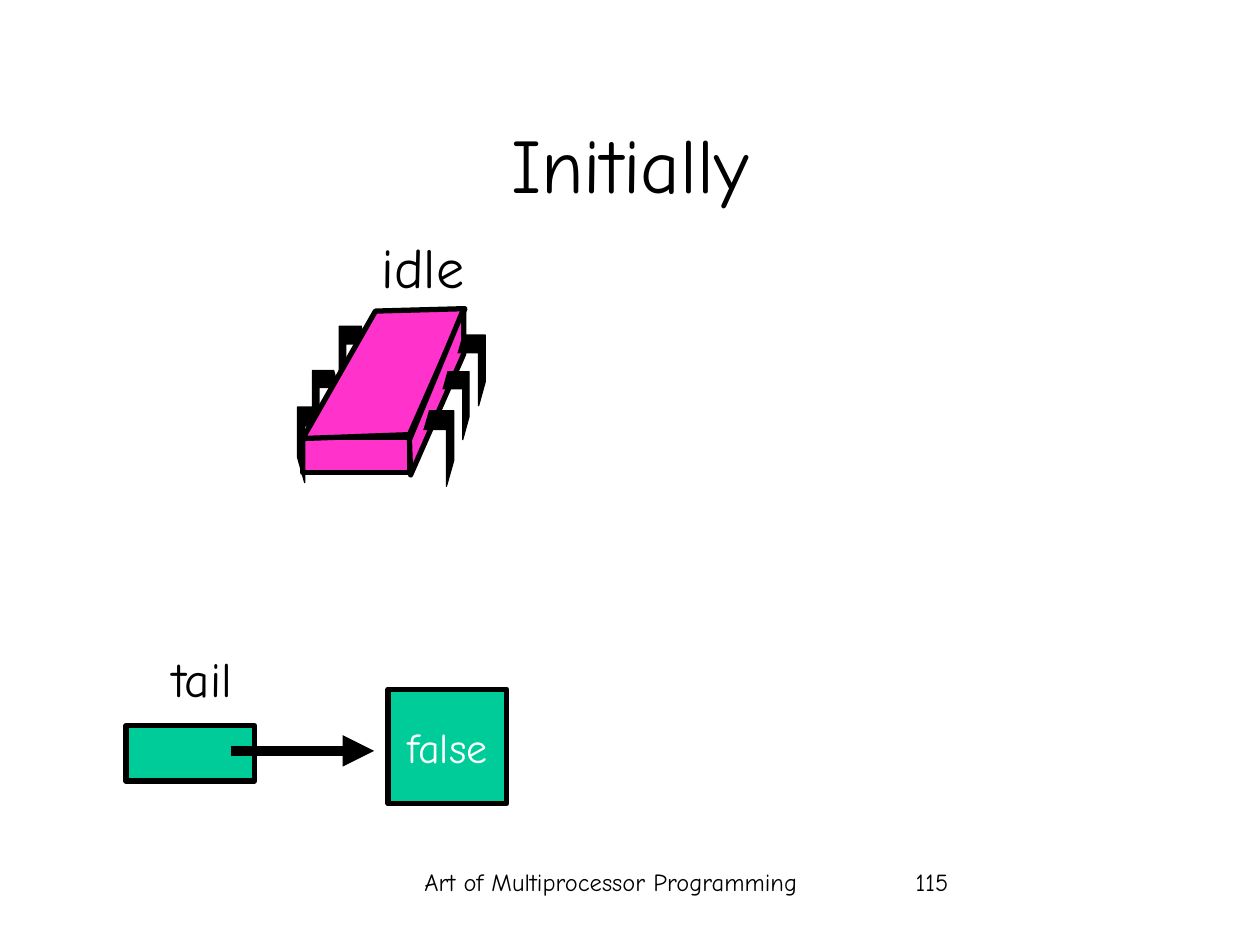
from lxml import etree
from pptx import Presentation
from pptx.dml.color import RGBColor
from pptx.enum import shapes, text
from pptx.oxml.ns import qn
from pptx.util import Pt

FONT = "Comic Neue"
BLACK, WHITE, GREEN, PINK = "000000", "FFFFFF", "00CC99", "FF33CC"
LEFT, CENTER, RIGHT = text.PP_ALIGN.LEFT, text.PP_ALIGN.CENTER, text.PP_ALIGN.RIGHT


def color(value):
    return RGBColor.from_string(value)


def write(sp, words, size, align=CENTER, ink=BLACK, wrap=True, middle=False):
    tf = sp.text_frame
    tf.word_wrap = wrap
    tf.vertical_anchor = text.MSO_ANCHOR.MIDDLE if middle else text.MSO_ANCHOR.TOP
    p = tf.paragraphs[0]
    p.text = words
    p.alignment = align
    p.font.name, p.font.size = FONT, Pt(size)
    p.font.color.rgb = color(ink)


def add_text(s, box, words, size, align=CENTER, grow=False, middle=False):
    sp = s.shapes.add_textbox(*map(Pt, box))
    write(sp, words, size, align, wrap=not grow, middle=middle)
    if grow:
        sp.text_frame.auto_size = text.MSO_AUTO_SIZE.SHAPE_TO_FIT_TEXT


def style(sp, fill, width):
    sp.shadow.inherit = False
    sp.fill.solid()
    sp.fill.fore_color.rgb = color(fill)
    sp.line.color.rgb = color(BLACK)
    sp.line.width = Pt(width)


def add_rect(s, box, fill):
    sp = s.shapes.add_shape(shapes.MSO_SHAPE.RECTANGLE, *map(Pt, box))
    style(sp, fill, 3)
    return sp


def add_outline(s, points, fill, width, close):
    points = [(Pt(x), Pt(y)) for x, y in points]
    fb = s.shapes.build_freeform(*points[0])
    fb.add_line_segments(points[1:], close=close)
    style(fb.convert_to_shape(), fill, width)


def add_leg(s, x, y, w, h, side):
    """Leg with its outer top corner at x, y; side is 1 when the body lies right."""
    profile = [(0.82, 0), (0, 0), (0, 0.66), (0.24, 1), (0.24, 0.25), (1, 0.25)]
    points = [(x + side * w * dx, y + h * dy) for dx, dy in profile]
    add_outline(s, points, BLACK, 0.75, close=False)


def add_thread(s, left, top):
    # Front face
    add_rect(s, (left + 3, top + 73.6, 61.2, 20.2), PINK)

    # Legs: front, middle, rear on each side
    sizes = [(17.3, 43.2), (15.1, 38.9), (15.8, 40.3)]
    left_feet = [(0, 56.2), (8.6, 35.3), (23.8, 10.1)]
    right_feet = [(89.3, 58.3), (98, 36), (107.3, 15.1)]
    for (x, y), (w, h) in zip(left_feet, sizes):
        add_leg(s, left + x, top + y, w, h, 1)

    # Top and side faces
    for face in ([(3, 74.2), (64, 72), (95.7, 0), (44.6, 1.4)],
                 [(95, 0), (95, 25.9), (64.7, 95), (64, 74.9)]):
        add_outline(s, [(left + x, top + y) for x, y in face], PINK, 3, close=True)

    for (x, y), (w, h) in zip(right_feet, sizes):
        add_leg(s, left + x, top + y, w, h, -1)

    # State of the thread
    add_text(s, (left + 37.4, top - 46.8, 68.4, 45.4), "idle", 32, grow=True)


def add_queue(s, left, top):
    # Node and tail field
    node = add_rect(s, (left + 149.8, top, 67.7, 65.5), GREEN)
    write(node, "false", 24, ink=WHITE, wrap=False, middle=True)
    add_rect(s, (left, top + 20.9, 73.4, 31.7), GREEN)

    # Pointer from tail to node
    y = Pt(top + 35.3)
    line = s.shapes.add_connector(shapes.MSO_CONNECTOR.STRAIGHT,
                                  Pt(left + 59.8), y, Pt(left + 141.8), y)
    line.line.color.rgb = color(BLACK)
    line.line.width = Pt(6)
    etree.SubElement(line.line._get_or_add_ln(), qn("a:tailEnd"), type="triangle")
    etree.SubElement(line._element.spPr, qn("a:effectLst"))

    add_text(s, (left + 10.1, top - 26.6, 57.6, 41), "tail", 28, RIGHT, grow=True)


def add_footer(s, top):
    add_text(s, (208, top, 282.2, 36), "Art of Multiprocessor Programming", 14)
    add_text(s, (516.2, top, 149.8, 36), "115", 14, LEFT)


def main():
    prs = Presentation()
    prs.slide_width, prs.slide_height = Pt(720), Pt(540)
    s = prs.slides.add_slide(prs.slide_layouts[6])
    add_footer(s, 491.8)
    add_text(s, (54, 48.2, 612, 90), "Initially", 44, middle=True)
    add_queue(s, 72, 393.8)
    add_thread(s, 170, 176.4)
    prs.save("out.pptx")


if __name__ == "__main__":
    main()
